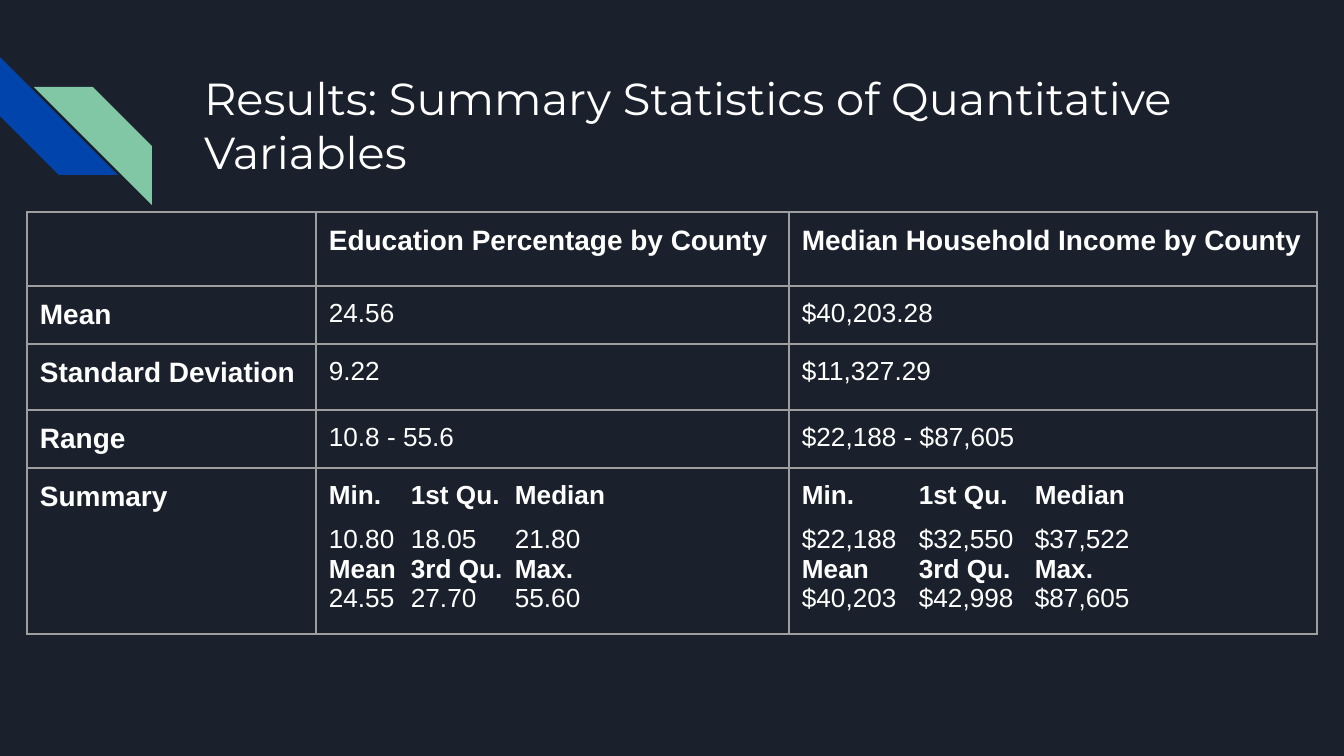
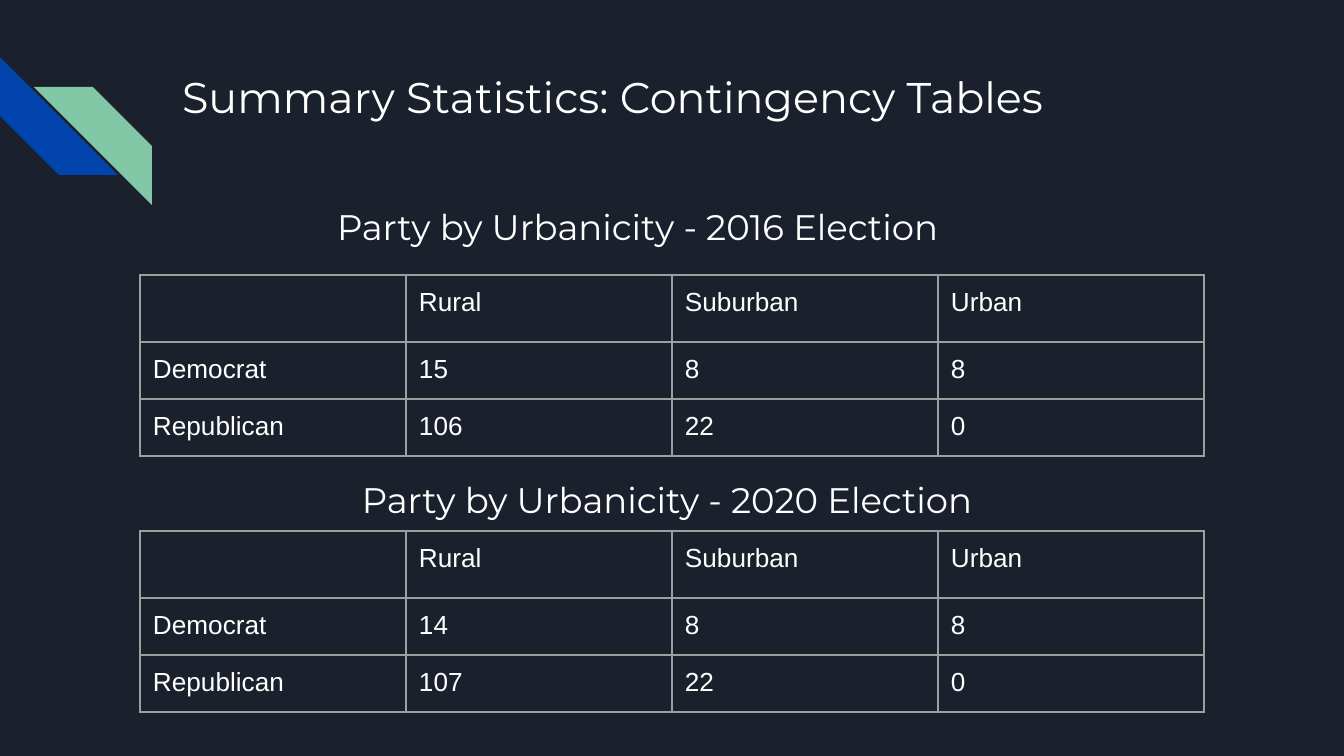
from dataclasses import dataclass
from typing import Sequence

from lxml.etree import SubElement
from pptx import Presentation
from pptx.dml.color import RGBColor
from pptx.enum.shapes import MSO_SHAPE
from pptx.enum.text import MSO_ANCHOR, MSO_AUTO_SIZE, PP_ALIGN
from pptx.oxml.ns import qn
from pptx.presentation import Presentation as Deck
from pptx.slide import Slide
from pptx.table import _Cell as TableCell
from pptx.text.text import TextFrame, _Paragraph as Paragraph
from pptx.util import Emu, Pt

SLIDE_WIDTH, SLIDE_HEIGHT = 1344, 756
EMU_PER_PX = 9144000 / SLIDE_WIDTH


@dataclass(frozen=True)
class Theme:
    """Colours, fonts and type sizes of the deck."""

    background: str = "1B212C"
    text: str = "FFFFFF"
    blue: str = "0145AC"
    green: str = "82C7A5"
    grid: str = "9E9E9E"
    heading_font: str = "Montserrat"
    body_font: str = "Arial"
    caption_size: int = 19
    label_size: int = 15
    value_size: int = 14
    grid_width: float = 0.75
    inset: int = 13


@dataclass(frozen=True)
class Box:
    """A rectangle in px."""

    left: int
    top: int
    width: int
    height: int


@dataclass(frozen=True)
class Stripe:
    """One diagonal stripe of the corner ornament."""

    box: Box
    color: str
    rotation: int = 0
    mirrored: bool = False


@dataclass(frozen=True)
class Line:
    """One line of a table cell."""

    text: str
    size: int
    bold: bool = False
    spacing: float | None = None
    tab_stops: tuple[int, ...] = ()


@dataclass(frozen=True)
class Grid:
    """A table with its place and its track sizes."""

    left: int
    top: int
    columns: Sequence[int]
    rows: Sequence[int]
    cells: Sequence[Sequence[Sequence[Line]]]


@dataclass(frozen=True)
class Contingency:
    """The party counts of one election."""

    caption: str
    caption_box: Box
    table_top: int
    democrat: tuple[str, ...]
    republican: tuple[str, ...]


THEME = Theme()
STRIPES = (
    Stripe(Box(0, 57, 118, 118), THEME.blue, rotation=270),
    Stripe(Box(34, 87, 118, 118), THEME.green, mirrored=True),
)
ELECTIONS = (
    Contingency("Party by Urbanicity - 2016 Election", Box(324, 192, 695, 66), 275,
                ("15", "8", "8"), ("106", "22", "0")),
    Contingency("Party by Urbanicity - 2020 Election", Box(349, 465, 645, 74), 531,
                ("14", "8", "8"), ("107", "22", "0")),
)


def px(length: int) -> Emu:
    """Turn px into EMU."""
    return Emu(round(length * EMU_PER_PX))


def place(box: Box) -> tuple[Emu, Emu, Emu, Emu]:
    """Turn a box into EMU coordinates."""
    return px(box.left), px(box.top), px(box.width), px(box.height)


def write(paragraph: Paragraph, text: str, size: int, font: str, bold: bool = False) -> None:
    """Add one formatted run."""
    run = paragraph.add_run()
    run.text = text
    run.font.size = Pt(size)
    run.font.name = font
    run.font.bold = bold
    run.font.color.rgb = RGBColor.from_string(THEME.text)


def fit_frame(frame: TextFrame) -> Paragraph:
    """Set insets, wrapping and anchor, and return the first paragraph."""
    frame.word_wrap = True
    frame.auto_size = MSO_AUTO_SIZE.NONE
    frame.vertical_anchor = MSO_ANCHOR.TOP
    frame.margin_left = frame.margin_right = px(THEME.inset)
    frame.margin_top = frame.margin_bottom = px(THEME.inset)
    opening = frame.paragraphs[0]
    opening.alignment = PP_ALIGN.LEFT
    return opening


def draw_stripe(slide: Slide, stripe: Stripe) -> None:
    """Draw one stripe of the ornament."""
    band = slide.shapes.add_shape(MSO_SHAPE.DIAGONAL_STRIPE, *place(stripe.box))
    band.adjustments[0] = 0.5
    band.rotation = stripe.rotation
    band.shadow.inherit = False
    band.fill.solid()
    band.fill.fore_color.rgb = RGBColor.from_string(stripe.color)
    band.line.fill.background()
    if stripe.mirrored:
        band._element.spPr.find(qn("a:xfrm")).set("flipH", "1")


def add_titled_slide(deck: Deck, title: str, left: int, size: int) -> Slide:
    """Add a slide with the shared ornament and title style."""
    slide = deck.slides.add_slide(deck.slide_layouts[5])
    for stripe in STRIPES:
        draw_stripe(slide, stripe)
    heading = slide.shapes.title
    heading.left, heading.top, heading.width, heading.height = place(Box(left, 58, 1035, 134))
    write(fit_frame(heading.text_frame), title, size, THEME.heading_font)
    return slide


def add_caption(slide: Slide, text: str, box: Box) -> None:
    """Add the caption above a table."""
    caption = slide.shapes.add_textbox(*place(box))
    write(fit_frame(caption.text_frame), text, THEME.caption_size, THEME.heading_font)


def set_borders(cell: TableCell) -> None:
    """Draw the four sides of a cell."""
    properties = cell._tc.get_or_add_tcPr()
    for position, side in enumerate(("a:lnL", "a:lnR", "a:lnT", "a:lnB")):
        edge = properties.makeelement(qn(side), {"w": str(Pt(THEME.grid_width))})
        properties.insert(position, edge)
        paint = SubElement(edge, qn("a:solidFill"))
        SubElement(paint, qn("a:srgbClr"), val=THEME.grid)


def fill_cell(cell: TableCell, lines: Sequence[Line]) -> None:
    """Format a cell and write its lines."""
    cell.fill.background()
    set_borders(cell)
    cell.margin_left = cell.margin_right = px(THEME.inset)
    cell.margin_top = cell.margin_bottom = px(THEME.inset)
    for index, line in enumerate(lines):
        frame = cell.text_frame
        paragraph = frame.add_paragraph() if index else frame.paragraphs[0]
        if line.spacing:
            paragraph.line_spacing = line.spacing
        if line.tab_stops:
            tabs = SubElement(paragraph._p.get_or_add_pPr(), qn("a:tabLst"))
            for stop in line.tab_stops:
                SubElement(tabs, qn("a:tab"), pos=str(px(stop)), algn="l")
        write(paragraph, line.text, line.size, THEME.body_font, line.bold)


def draw_grid(slide: Slide, grid: Grid) -> None:
    """Draw a table."""
    box = Box(grid.left, grid.top, sum(grid.columns), sum(grid.rows))
    table = slide.shapes.add_table(len(grid.rows), len(grid.columns), *place(box)).table
    table.first_row = table.horz_banding = False
    for column, width in zip(table.columns, grid.columns):
        column.width = px(width)
    for row, height, contents in zip(table.rows, grid.rows, grid.cells):
        row.height = px(height)
        for cell, lines in zip(row.cells, contents):
            fill_cell(cell, lines)


def label(text: str) -> list[Line]:
    """Make a bold label cell."""
    return [Line(text, THEME.label_size, bold=True)]


def value(text: str) -> list[Line]:
    """Make a plain value cell, empty without text."""
    return [Line(text, THEME.value_size)] if text else []


def quantiles(first: Sequence[str], second: Sequence[str], stops: tuple[int, ...]) -> list[Line]:
    """Make a summary cell: bold names over their values, twice."""
    rows = (("Min.", "1st Qu.", "Median"), first, ("Mean", "3rd Qu.", "Max."), second)
    return [
        Line("\t".join(row), THEME.value_size, index % 2 == 0, 1.5 if index == 1 else None, stops)
        for index, row in enumerate(rows)
    ]


def build_quantitative(deck: Deck) -> None:
    """Build the slide on quantitative variables."""
    slide = add_titled_slide(
        deck, "Results: Summary Statistics of Quantitative Variables", 191, 24)
    measures = (
        ("Mean", "24.56", "$40,203.28"),
        ("Standard Deviation", "9.22", "$11,327.29"),
        ("Range", "10.8 - 55.6", "$22,188 - $87,605"),
    )
    education = quantiles(("10.80", "18.05", "21.80"), ("24.55", "27.70", "55.60"), (82, 186))
    income = quantiles(
        ("$22,188", "$32,550", "$37,522"), ("$40,203", "$42,998", "$87,605"), (117, 233))
    cells = [
        [[], label("Education Percentage by County"), label("Median Household Income by County")],
        *([label(name), value(share), value(dollars)] for name, share, dollars in measures),
        [label("Summary"), education, income],
    ]
    draw_grid(slide, Grid(27, 212, (289, 473, 528), (74, 58, 66, 58, 166), cells))


def build_contingency(deck: Deck) -> None:
    """Build the slide with one contingency table per election."""
    slide = add_titled_slide(deck, "Summary Statistics: Contingency Tables", 169, 23)
    for election in ELECTIONS:
        add_caption(slide, election.caption, election.caption_box)
        rows = (
            ("", "Rural", "Suburban", "Urban"),
            ("Democrat", *election.democrat),
            ("Republican", *election.republican),
        )
        cells = [[value(text) for text in row] for row in rows]
        draw_grid(slide, Grid(140, election.table_top, (266,) * 4, (64, 57, 57), cells))


def main() -> None:
    """Build and save the deck."""
    deck = Presentation()
    deck.slide_width, deck.slide_height = px(SLIDE_WIDTH), px(SLIDE_HEIGHT)
    backdrop = deck.slide_master.background.fill
    backdrop.solid()
    backdrop.fore_color.rgb = RGBColor.from_string(THEME.background)
    build_quantitative(deck)
    build_contingency(deck)
    deck.save("out.pptx")


if __name__ == "__main__":
    main()
